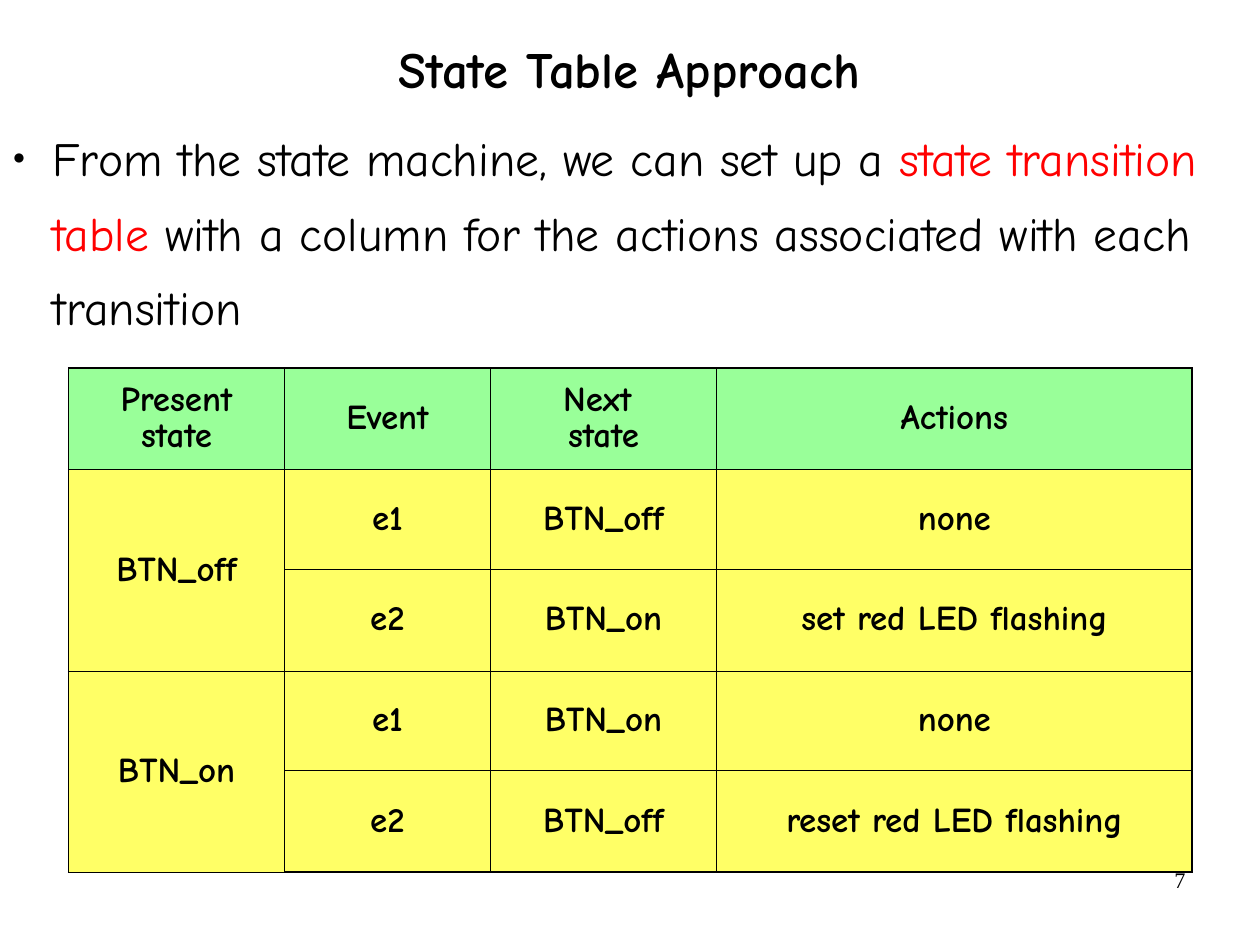
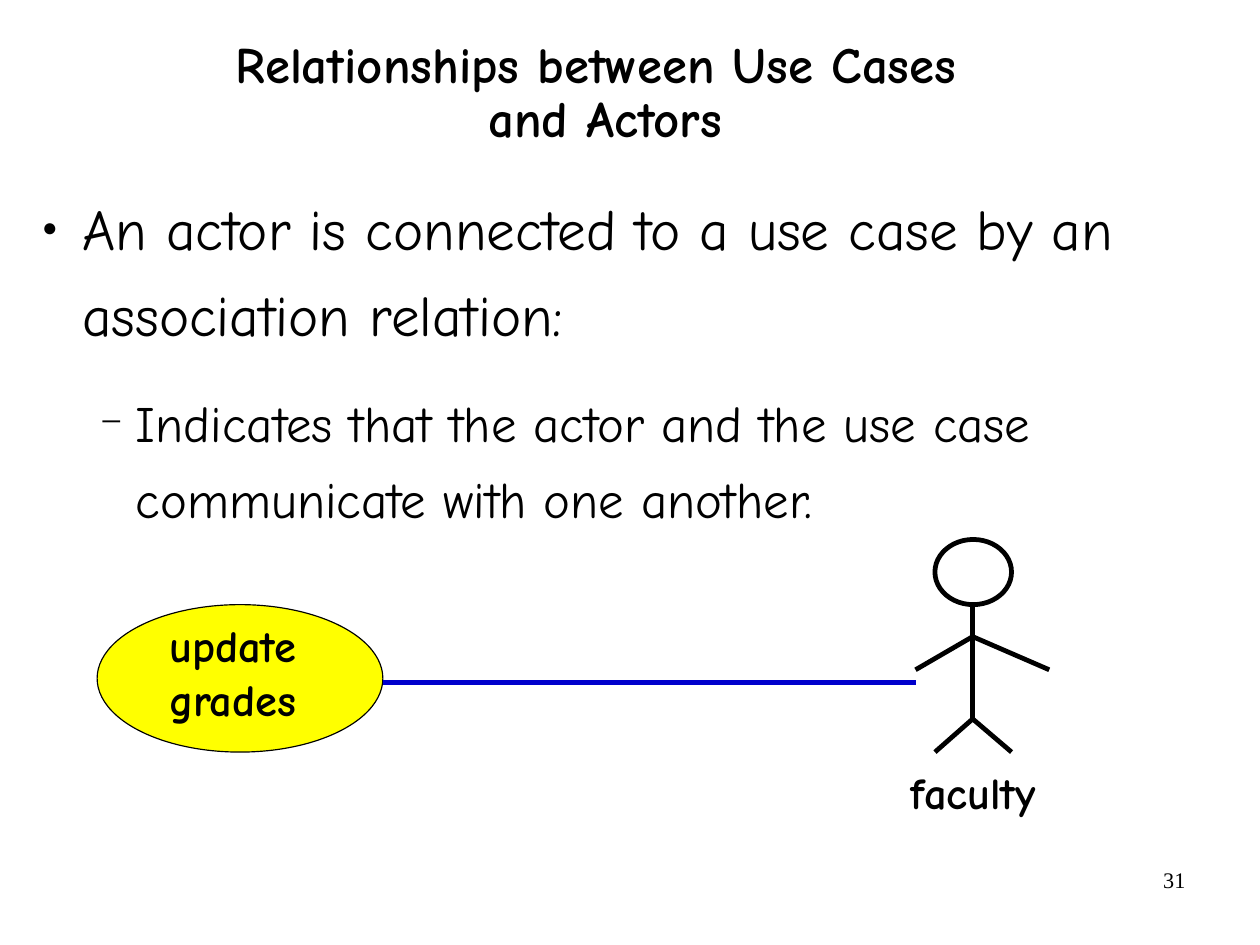
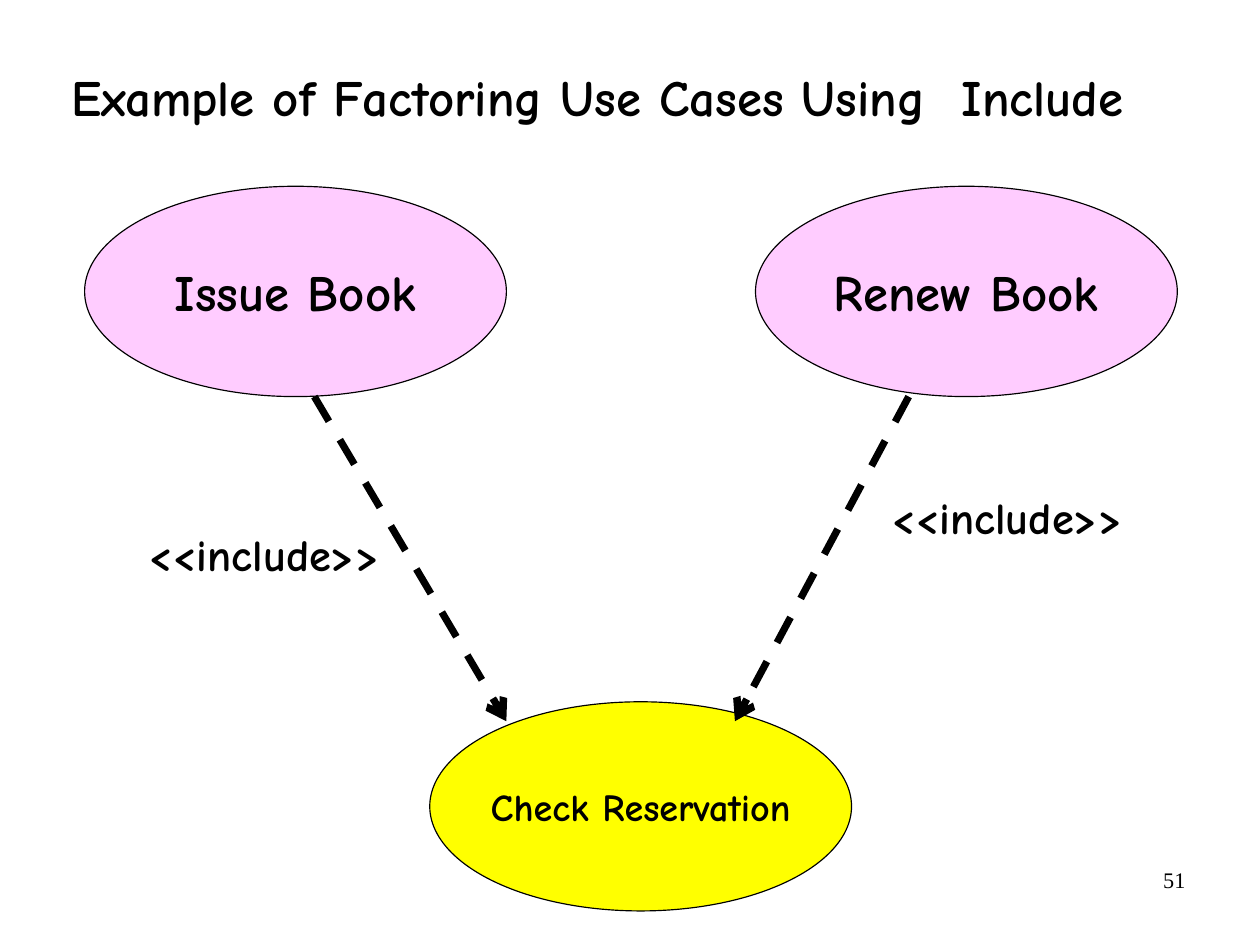
from lxml.etree import SubElement
from pptx import Presentation
from pptx.dml.color import RGBColor
from pptx.enum.dml import MSO_LINE
from pptx.enum.shapes import MSO_CONNECTOR, MSO_SHAPE
from pptx.enum.text import MSO_ANCHOR, MSO_AUTO_SIZE, PP_ALIGN as ALIGN
from pptx.oxml import parse_xml
from pptx.oxml.ns import nsdecls, qn
from pptx.util import Inches, Pt

# Shared style
FONT = "Comic Neue"
NUMBER_FONT = BULLET_FONT = "Times New Roman"
BLACK, RED, BLUE = "000000", "FF0000", "0000CC"
YELLOW, PINK = "FFFF00", "FFCCFF"
HEADER_GREEN, CELL_YELLOW = "99FF99", "FFFF66"
color = RGBColor.from_string


def format_text(frame, size, alignment=ALIGN.CENTER, bold=True, font=FONT, spacing=None):
    for paragraph in frame.paragraphs:
        paragraph.alignment = alignment
        paragraph.line_spacing = spacing
        for run in paragraph.runs:
            run.font.name = font
            run.font.size = Pt(size)
            run.font.bold = bold
            run.font.color.rgb = color(BLACK)


def set_margins(frame, horizontal, vertical):
    frame.margin_left = frame.margin_right = Inches(horizontal)
    frame.margin_top = frame.margin_bottom = Inches(vertical)


# Slides of 28 by 21 centimetres
presentation = Presentation()
presentation.slide_width = Inches(28 / 2.54)
presentation.slide_height = Inches(21 / 2.54)

# Titles and slide numbers
pages = [
    ("State Table Approach", (0.81, 0.15, 9.4, 0.97), 0.88, "7"),
    ("Relationships between Use Cases \vand Actors", (0.26, 0.14, 10.07, 1.37), 0.88, "31"),
    ("Example of Factoring Use Cases Using  Include", (0.22, -0.22, 10.02, 2.18), 0.94, "51"),
]
for title_text, box, spacing, number in pages:
    slide = presentation.slides.add_slide(presentation.slide_layouts[5])
    title = slide.shapes.title
    title.left, title.top, title.width, title.height = map(Inches, box)
    frame = title.text_frame
    frame.text = title_text
    frame.auto_size = MSO_AUTO_SIZE.NONE
    frame.vertical_anchor = MSO_ANCHOR.MIDDLE
    set_margins(frame, 0, 0)
    format_text(frame, 32, spacing=spacing)

    number_box = slide.shapes.add_textbox(*map(Inches, (7.9, 7.53, 2.57, 0.57)))
    frame = number_box.text_frame
    frame.word_wrap = True
    frame.text = number
    format_text(frame, 14, ALIGN.RIGHT, False, NUMBER_FONT)

table_slide, actor_slide, include_slide = presentation.slides

# Bulleted text: text pieces, size, indent, hanging, bullet, bullet percent, space after
bodies = [
    (table_slide, (0, 0.98, 11.02, 6.42), 1.3, [
        (["From the state machine, we can set up a ", "state transition table",
          " with a column for the actions associated with each transition"],
         30, 0.46, 0.35, "●", 45, 13.8)]),
    (actor_slide, (0.26, 1.54, 10.76, 5.92), 1.25, [
        (["An actor is connected to a use case by an association relation:"],
         36, 0.46, 0.35, "●", 45, 6),
        (["Indicates that the actor and the use case communicate with one another."],
         32, 0.93, 0.31, "−", 75, 4)]),
]
for slide, box, spacing, items in bodies:
    frame = slide.shapes.add_textbox(*map(Inches, box)).text_frame
    frame.word_wrap = True
    set_margins(frame, 0, 0)
    for index, (pieces, size, indent, hanging, bullet, percent, after) in enumerate(items):
        paragraph = frame.add_paragraph() if index else frame.paragraphs[0]
        properties = paragraph._p.get_or_add_pPr()
        properties.set("marL", str(Inches(indent)))
        properties.set("indent", str(-Inches(hanging)))
        bullet_color = SubElement(properties, qn("a:buClr"))
        SubElement(bullet_color, qn("a:srgbClr")).set("val", BLACK)
        SubElement(properties, qn("a:buSzPct")).set("val", str(percent * 1000))
        SubElement(properties, qn("a:buFont")).set("typeface", BULLET_FONT)
        SubElement(properties, qn("a:buChar")).set("char", bullet)
        paragraph.level = 1 if index else 0
        paragraph.space_before = Pt(12 if index else 0)
        paragraph.space_after = Pt(after)
        paragraph.line_spacing = spacing
        for piece in pieces:
            run = paragraph.add_run()
            run.text = piece
            run.font.name = FONT
            run.font.size = Pt(size)
            run.font.color.rgb = color(RED if piece == "state transition table" else BLACK)

# State transition table
rows = [
    ["Present state", "Event", "Next \vstate", "Actions"],
    ["BTN_off", "e1", "BTN_off", "none"],
    ["", "e2", "BTN_on", "set red LED flashing"],
    ["BTN_on", "e1", "BTN_on", "none"],
    ["", "e2", "BTN_off", "reset red LED flashing"],
]
column_widths = [1.89, 1.8, 1.98, 4.16]
row_heights = [0.89, 0.87, 0.89, 0.87, 0.89]
table = table_slide.shapes.add_table(
    len(rows), len(column_widths), *map(Inches, (0.6, 3.22, 9.83, 4.41))).table
table.first_row = table.horz_banding = False
for column, width in zip(table.columns, column_widths):
    column.width = Inches(width)
for row, height in zip(table.rows, row_heights):
    row.height = Inches(height)
last_row, last_column = len(rows) - 1, len(column_widths) - 1
for r, texts in enumerate(rows):
    for c, text in enumerate(texts):
        cell = table.cell(r, c)
        cell.text = text
        cell.fill.solid()
        cell.fill.fore_color.rgb = color(CELL_YELLOW if r else HEADER_GREEN)
        cell.vertical_anchor = MSO_ANCHOR.MIDDLE
        set_margins(cell, 0.11, 0.05)
        format_text(cell.text_frame, 22, spacing=0.9)
        outer_edges = [("L", c == 0), ("R", c == last_column),
                       ("T", r == 0), ("B", r == last_row)]
        for position, (side, outer) in enumerate(outer_edges):
            border = parse_xml(
                f'<a:ln{side} {nsdecls("a")} w="{Pt(1.08 if outer else 0.45)}"><a:solidFill>'
                f'<a:srgbClr val="{BLACK}"/></a:solidFill></a:ln{side}>')
            cell._tc.get_or_add_tcPr().insert(position, border)
for r in (1, 3):
    table.cell(r, 0).merge(table.cell(r + 1, 0))

# Use case ellipses and the actor's head
ellipses = [
    (actor_slide, (0.85, 5.29, 2.5, 1.29), YELLOW, 0.75, "", 28),
    (actor_slide, (8.18, 4.72, 0.67, 0.57), None, 3, "", 28),
    (include_slide, (0.74, 1.63, 3.69, 1.84), PINK, 0.75, "Issue Book", 32),
    (include_slide, (3.76, 6.14, 3.69, 1.83), YELLOW, 0.75, "Check Reservation", 24),
    (include_slide, (6.61, 1.63, 3.69, 1.84), PINK, 0.75, "Renew Book", 32),
]
for slide, box, fill, line_width, text, size in ellipses:
    ellipse = slide.shapes.add_shape(MSO_SHAPE.OVAL, *map(Inches, box))
    ellipse.shadow.inherit = False
    if fill:
        ellipse.fill.solid()
        ellipse.fill.fore_color.rgb = color(fill)
    else:
        ellipse.fill.background()
    ellipse.line.color.rgb = color(BLACK)
    ellipse.line.width = Pt(line_width)
    if text:
        frame = ellipse.text_frame
        frame.text = text
        frame.word_wrap = False
        frame.vertical_anchor = MSO_ANCHOR.MIDDLE
        set_margins(frame, 0.11, 0.06)
        format_text(frame, size)

# Actor's body and limbs, the association, and the include arrows
neck, shoulder, hip = (8.51, 5.29), (8.51, 5.57), (8.51, 6.29)
lines = [
    (actor_slide, neck, hip, BLACK, 3),
    (actor_slide, shoulder, (9.18, 5.86), BLACK, 3),
    (actor_slide, shoulder, (8.01, 5.86), BLACK, 3),
    (actor_slide, hip, (8.85, 6.58), BLACK, 3),
    (actor_slide, hip, (8.18, 6.58), BLACK, 3),
    (actor_slide, (8.01, 5.97), (3.35, 5.97), BLUE, 3),
    (include_slide, (2.75, 3.47), (4.43, 6.31), BLACK, 4.5),
    (include_slide, (7.95, 3.47), (6.43, 6.31), BLACK, 4.5),
]
for slide, start, end, line_color, width in lines:
    connector = slide.shapes.add_connector(MSO_CONNECTOR.STRAIGHT, *map(Inches, start + end))
    connector.line.color.rgb = color(line_color)
    connector.line.width = Pt(width)
    if slide is include_slide:
        connector.line.dash_style = MSO_LINE.DASH
        SubElement(connector.line._get_or_add_ln(), qn("a:tailEnd")).set("type", "arrow")
    SubElement(connector._element.spPr, qn("a:effectLst"))

# Labels
labels = [
    (actor_slide, (0.89, 5.35, 2.29, 1.04), "update\ngrades", ALIGN.CENTER),
    (actor_slide, (7.6, 6.63, 1.83, 0.58), "faculty", ALIGN.CENTER),
    (include_slide, (1.19, 4.55, 2.24, 0.58), "<<include>>", ALIGN.LEFT),
    (include_slide, (7.69, 4.23, 2.24, 0.58), "<<include>>", ALIGN.LEFT),
]
for slide, box, text, alignment in labels:
    frame = slide.shapes.add_textbox(*map(Inches, box)).text_frame
    frame.text = text
    frame.word_wrap = slide is actor_slide
    set_margins(frame, 0.11, 0.06)
    format_text(frame, 28, alignment)

presentation.save("out.pptx")
